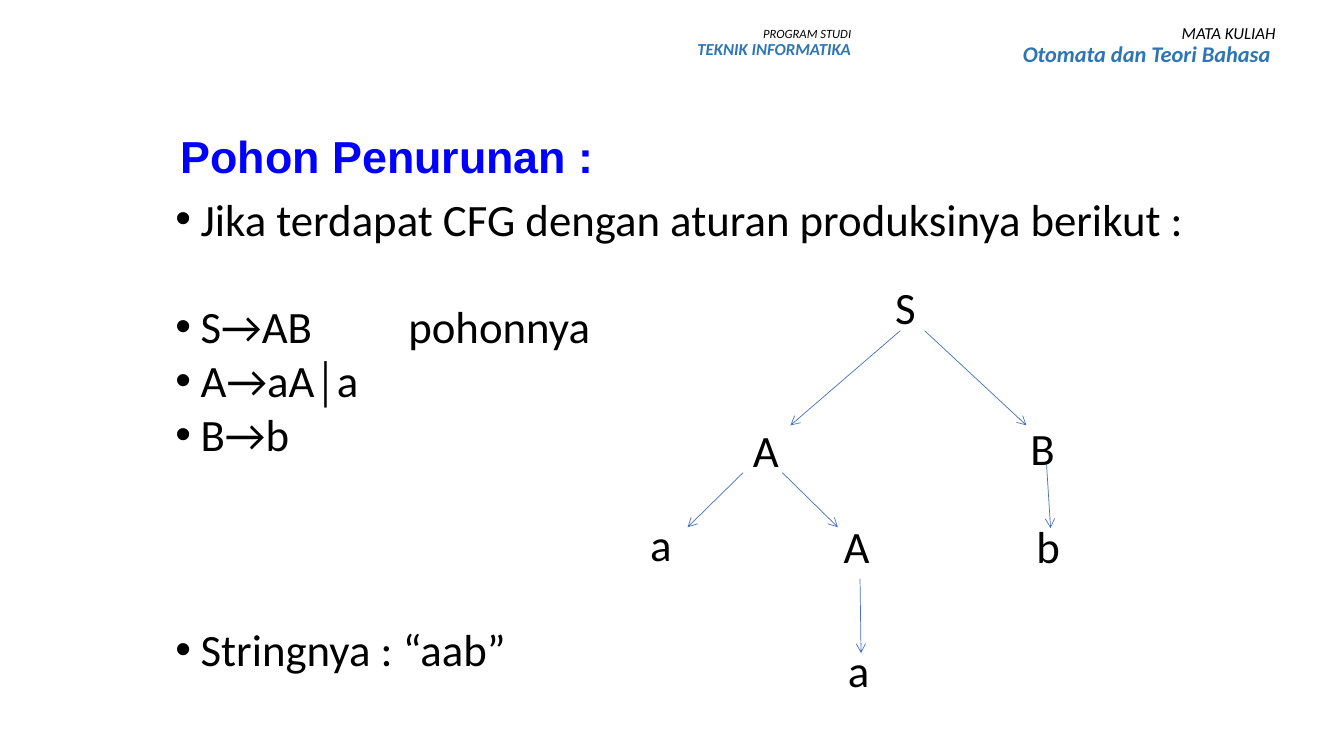
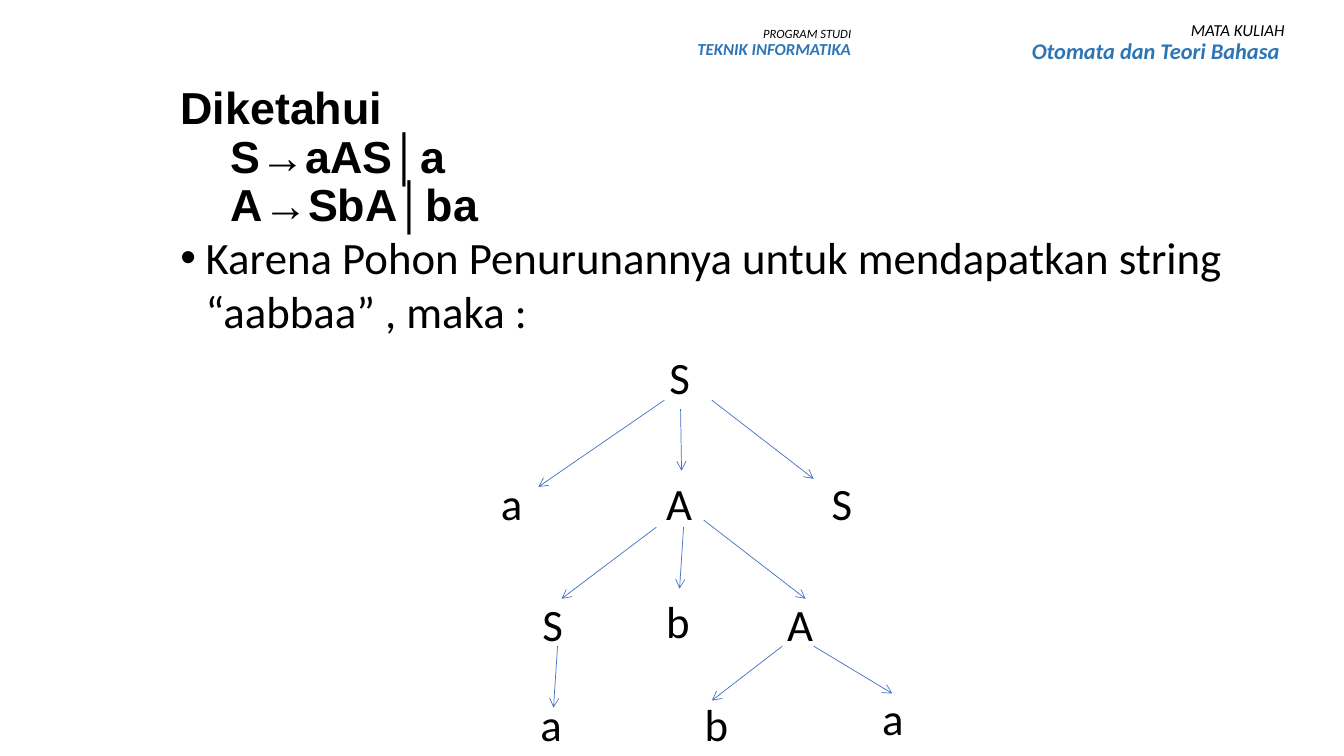
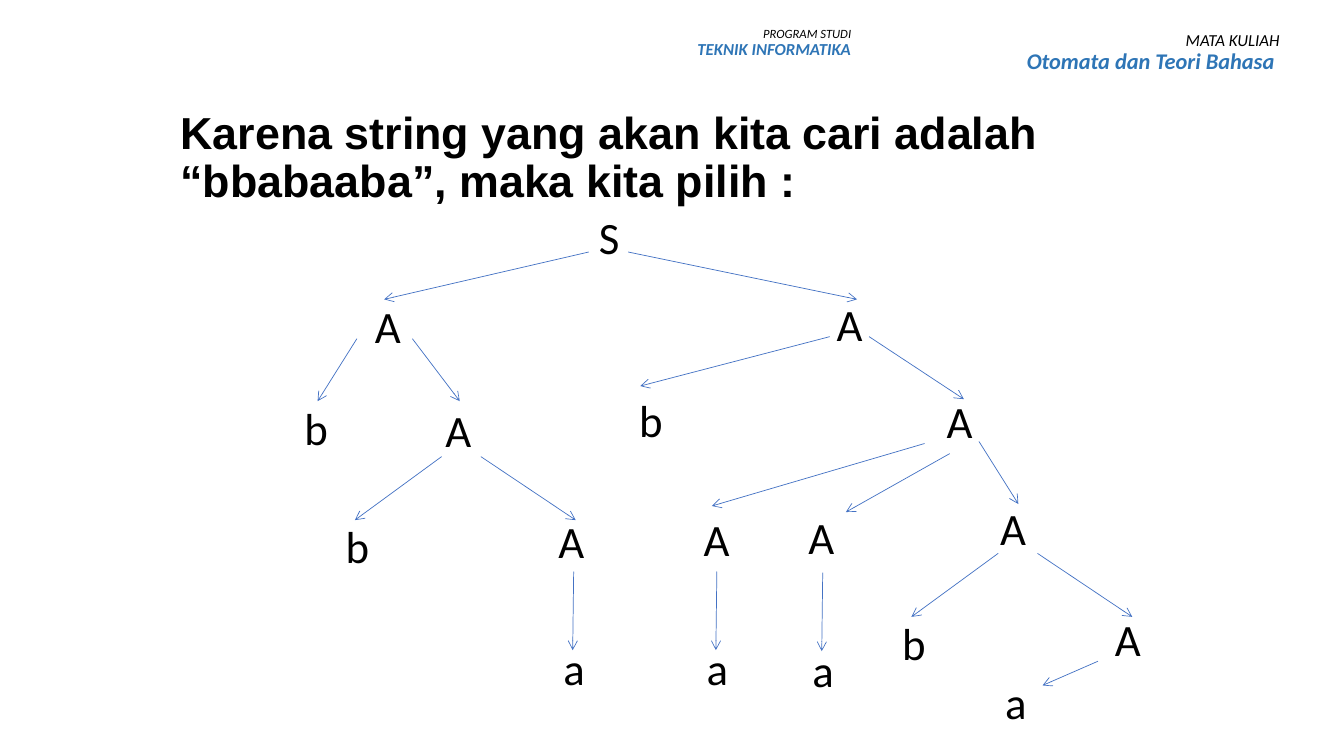
"""Build three slides on derivation trees of context-free grammars."""
from dataclasses import dataclass

from lxml import etree
from pptx import Presentation
from pptx.dml.color import RGBColor
from pptx.enum.shapes import MSO_CONNECTOR
from pptx.enum.text import MSO_ANCHOR, MSO_AUTO_SIZE, PP_ALIGN
from pptx.oxml.ns import qn
from pptx.util import Inches, Pt

STRAIGHT = MSO_CONNECTOR.STRAIGHT
MIDDLE, TOP = MSO_ANCHOR.MIDDLE, MSO_ANCHOR.TOP
LEFT, RIGHT = PP_ALIGN.LEFT, PP_ALIGN.RIGHT
NO_FIT = MSO_AUTO_SIZE.NONE
CONTENT_LAYOUT, TITLE_ONLY_LAYOUT = 1, 5


@dataclass(frozen=True)
class Theme:
    """Fonts, colours and type sizes of the deck."""
    title_font: str = "Arial"
    text_font: str = "Calibri"
    black: str = "000000"
    blue: str = "0000FF"
    accent: str = "2E75B6"
    arrow: str = "4472C4"
    size: float = 32
    arrow_width: float = 0.5
    header_spacing: float = 0.9
    body_line: float = 38.4


THEME = Theme()
TITLE_BOX = (1.69, 1.13, 10.66, 0.89)
PROGRAM = {"lines": ("PROGRAM STUDI", "TEKNIK INFORMATIKA"), "sizes": (9, 12)}
COURSE = {"lines": ("MATA KULIAH", "Otomata dan Teori Bahasa "), "sizes": (12, 16)}
PROGRAM_BOX = (6.03, 0.22, 2.51, 0.56)
COURSE_SIZE = (3.08, 0.74)
SYMBOL_WIDTHS = {"S": 0.41, "A": 0.5, "B": 0.45, "a": 0.39, "b": 0.43}
SYMBOL_HEIGHT = 0.64
BULLET_INDENT = 0.25
TAB_STOP = 2.31

# Body rows: text, blank lines above. Tree nodes: symbol, left, top, incoming arrow.
SLIDES = [
    {
        "title": "Pohon Penurunan :",
        "title_color": THEME.blue,
        "course_at": (9.67, 0.2),
        "body_box": (1.64, 1.85, 10.7, 4.95),
        "body": [
            ("Jika terdapat CFG dengan aturan produksinya berikut :", 0),
            ("S→AB\tpohonnya", 1),
            ("A→aA│a", 0),
            ("B→b", 0),
            ("Stringnya : “aab”", 3),
        ],
        "tree": [
            ("S", 8.78, 2.73, None),
            ("A", 7.37, 4.14, (8.93, 3.28, 7.84, 4.22)),
            ("B", 10.12, 4.12, (9.17, 3.28, 10.18, 4.22)),
            ("a", 6.35, 5.08, (7.37, 4.69, 6.82, 5.23)),
            ("A", 8.27, 5.1, (7.76, 4.69, 8.31, 5.23)),
            ("b", 10.18, 5.1, (10.38, 4.61, 10.42, 5.24)),
            ("a", 8.31, 6.33, (8.53, 5.74, 8.54, 6.48)),
        ],
    },
    {
        "title": "Diketahui\n\tS→aAS│a\n\tA→SbA│ba",
        "title_color": THEME.black,
        "course_at": (9.76, 0.17),
        "body_box": (1.69, 2.23, 10.66, 3.26),
        "body": [
            ("Karena Pohon Penurunannya untuk mendapatkan string “aabbaa” , maka :", 0),
        ],
        "tree": [
            ("S", 6.54, 3.42, None),
            ("a", 4.87, 4.67, (6.59, 3.97, 5.34, 4.83)),
            ("A", 6.51, 4.67, (6.75, 4.06, 6.76, 4.67)),
            ("S", 8.15, 4.67, (7.06, 3.97, 8.07, 4.75)),
            ("S", 5.28, 5.87, (6.51, 5.23, 5.57, 5.94)),
            ("b", 6.51, 5.84, (6.78, 5.23, 6.74, 5.84)),
            ("A", 7.71, 5.87, (6.98, 5.16, 7.99, 5.94)),
            ("a", 5.26, 6.86, (5.53, 6.41, 5.49, 7.02)),
            ("b", 6.89, 6.86, (7.76, 6.41, 7.06, 6.95)),
            ("a", 8.65, 6.8, (8.07, 6.41, 8.85, 6.88)),
        ],
    },
    {
        "title": "Karena string yang akan kita cari adalah “bbabaaba”, maka kita pilih :",
        "title_color": THEME.black,
        "course_at": (9.71, 0.27),
        "body": [],
        "tree": [
            ("S", 5.84, 2.03, None),
            ("A", 3.62, 2.91, (5.84, 2.5, 3.81, 2.97)),
            ("A", 8.2, 2.89, (6.23, 2.5, 8.5, 2.97)),
            ("b", 2.92, 3.93, (3.54, 3.36, 3.15, 3.98)),
            ("A", 4.32, 3.95, (4.09, 3.36, 4.56, 3.98)),
            ("b", 3.33, 5.1, (4.38, 4.53, 3.52, 5.16)),
            ("A", 5.44, 5.05, (4.77, 4.53, 5.71, 5.16)),
            ("a", 5.49, 6.31, (5.69, 5.67, 5.68, 6.45)),
            ("b", 6.24, 3.85, (8.23, 3.34, 6.35, 3.83)),
            ("A", 9.29, 3.86, (8.62, 3.34, 9.56, 3.96)),
            ("A", 6.88, 5.03, (9.17, 4.4, 7.06, 5.02)),
            ("A", 7.92, 5.01, (9.42, 4.5, 8.39, 5.08)),
            ("A", 9.82, 4.92, (9.71, 4.38, 10.1, 5)),
            ("a", 6.91, 6.31, (7.11, 5.67, 7.1, 6.45)),
            ("a", 7.96, 6.33, (8.16, 5.68, 8.15, 6.46)),
            ("b", 8.85, 6.06, (9.9, 5.49, 9.04, 6.12)),
            ("A", 10.96, 6.02, (10.29, 5.49, 11.23, 6.12)),
            ("a", 9.87, 6.64, (10.89, 6.56, 10.34, 6.8)),
        ],
    },
]


def style(para, font=THEME.text_font, size=THEME.size, color=THEME.black,
          bold=False, italic=False):
    """Format every run of a paragraph."""
    for span in para.runs:
        span.font.name = font
        span.font.size = Pt(size)
        span.font.color.rgb = RGBColor.from_string(color)
        span.font.bold = bold
        span.font.italic = italic


def place(shape, box):
    """Move and size a shape, with lengths in inches."""
    shape.left, shape.top, shape.width, shape.height = map(Inches, box)


def add_text(page, box, text, wrap=True):
    """Add a text box and return its frame."""
    frame = page.shapes.add_textbox(*map(Inches, box)).text_frame
    frame.word_wrap = wrap
    frame.text = text
    return frame


def set_title(page, text, color):
    """Fill and format the title placeholder."""
    title = page.shapes.title
    place(title, TITLE_BOX)
    frame = title.text_frame
    frame.text = text
    frame.word_wrap = True
    frame.auto_size = NO_FIT
    frame.vertical_anchor = MIDDLE
    for para in frame.paragraphs:
        para.alignment = LEFT
        para.line_spacing = THEME.header_spacing
        style(para, THEME.title_font, color=color, bold=True)


def set_body(page, box, rows):
    """Fill the content placeholder with bulleted rows."""
    body = page.placeholders[1]
    place(body, box)
    frame = body.text_frame
    frame.text = "\n".join(text for text, _ in rows)
    frame.word_wrap = True
    frame.auto_size = NO_FIT
    frame.vertical_anchor = TOP
    for para, (text, blank_lines) in zip(frame.paragraphs, rows):
        para.space_before = Pt(blank_lines * THEME.body_line)
        style(para)
        props = para._p.get_or_add_pPr()
        props.set("marL", str(Inches(BULLET_INDENT)))
        props.set("indent", str(-Inches(BULLET_INDENT)))
        etree.SubElement(props, qn("a:buFont")).set("typeface", "Arial")
        etree.SubElement(props, qn("a:buChar")).set("char", "•")
        if "\t" in text:
            stops = etree.SubElement(props, qn("a:tabLst"))
            stop = etree.SubElement(stops, qn("a:tab"))
            stop.set("pos", str(Inches(TAB_STOP)))
            stop.set("algn", "l")


def add_header(page, box, lines, sizes):
    """Add a right-aligned label with an accented name below it."""
    frame = add_text(page, box, "\n".join(lines))
    label, name = frame.paragraphs
    for para in frame.paragraphs:
        para.alignment = RIGHT
        para.line_spacing = THEME.header_spacing
    style(label, size=sizes[0], italic=True)
    style(name, size=sizes[1], color=THEME.accent, bold=True, italic=True)


def add_arrow(page, ends):
    """Draw a thin arrow between two points."""
    arrow = page.shapes.add_connector(STRAIGHT, *map(Inches, ends))
    arrow.line.color.rgb = RGBColor.from_string(THEME.arrow)
    arrow.line.width = Pt(THEME.arrow_width)
    props = arrow._element.spPr
    etree.SubElement(props.find(qn("a:ln")), qn("a:tailEnd")).set("type", "arrow")
    etree.SubElement(props, qn("a:effectLst"))


def add_tree(page, nodes):
    """Draw each symbol of a tree with the arrow that leads to it."""
    for symbol, left, top, arrow in nodes:
        box = (left, top, SYMBOL_WIDTHS[symbol], SYMBOL_HEIGHT)
        style(add_text(page, box, symbol, wrap=False).paragraphs[0])
        if arrow:
            add_arrow(page, arrow)


def main():
    """Build and save the deck."""
    deck = Presentation()
    deck.slide_width, deck.slide_height = Inches(13.33), Inches(7.5)
    for content in SLIDES:
        layout = CONTENT_LAYOUT if content["body"] else TITLE_ONLY_LAYOUT
        page = deck.slides.add_slide(deck.slide_layouts[layout])
        set_title(page, content["title"], content["title_color"])
        if content["body"]:
            set_body(page, content["body_box"], content["body"])
        add_tree(page, content["tree"])
        add_header(page, PROGRAM_BOX, **PROGRAM)
        add_header(page, content["course_at"] + COURSE_SIZE, **COURSE)
    deck.save("out.pptx")


if __name__ == "__main__":
    main()
